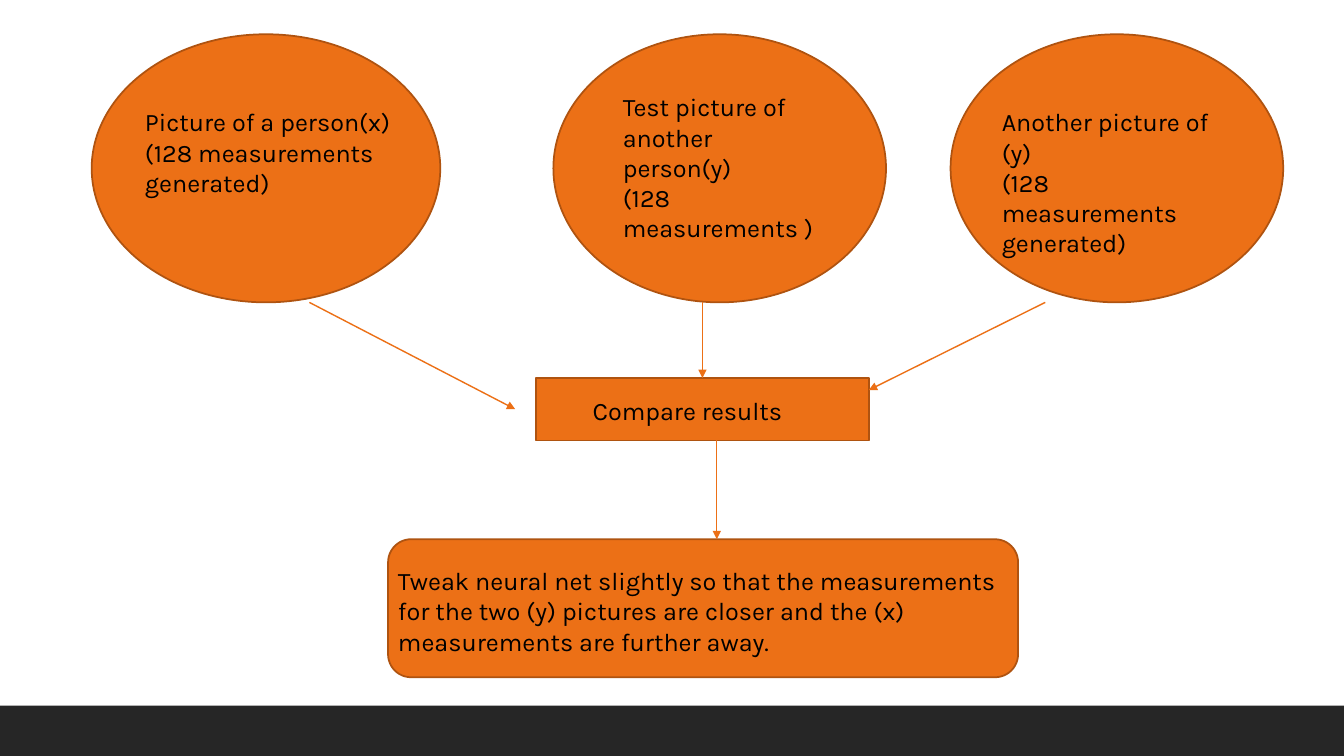
from lxml import etree
from pptx import Presentation
from pptx.dml.color import RGBColor
from pptx.enum import shapes, text
from pptx.oxml import ns
from pptx.util import Pt

WIDTH, HEIGHT = 960, 540
ORANGE, RUST, BLACK, CHARCOAL = "EC7016", "AF5310", "000000", "262626"
SHAPE = shapes.MSO_SHAPE


def color(hex_code):
    """Return the colour for a hex string."""
    return RGBColor.from_string(hex_code)


def add_panel(s, kind, box, fill, outline=None):
    """Draw a filled preset shape in the given box."""
    sp = s.shapes.add_shape(kind, *map(Pt, box))
    sp.shadow.inherit = False
    sp.fill.solid()
    sp.fill.fore_color.rgb = color(fill)
    if outline:
        sp.line.color.rgb = color(outline)
        sp.line.width = Pt(1.25)
    else:
        sp.line.fill.background()
    return sp


def add_label(s, box, lines):
    """Write one paragraph per line in a wrapped text box."""
    tf = s.shapes.add_textbox(*map(Pt, box)).text_frame
    tf.word_wrap = True
    tf.auto_size = text.MSO_AUTO_SIZE.SHAPE_TO_FIT_TEXT
    for i, line in enumerate(lines):
        p = tf.add_paragraph() if i else tf.paragraphs[0]
        r = p.add_run()
        r.text = line
        r.font.name = "Karla"
        r.font.size = Pt(18)
        r.font.color.rgb = color(BLACK)


def add_step(s, kind, box, inset, lines):
    """Draw a step; inset is the label's offset from the box and its size."""
    x, y, w, h = box
    dx, dy, label_w, label_h = inset
    sp = add_panel(s, kind, box, ORANGE, RUST)
    add_label(s, (x + dx, y + dy, label_w, label_h), lines)
    return sp


def add_arrow(s, start, end):
    """Draw an arrow between two points."""
    line = s.shapes.add_connector(shapes.MSO_CONNECTOR.STRAIGHT, *map(Pt, (*start, *end)))
    line.line.color.rgb = color(ORANGE)
    line.line.width = Pt(1)
    etree.SubElement(line.line._get_or_add_ln(), ns.qn("a:tailEnd"), type="triangle")
    etree.SubElement(line._element.spPr, ns.qn("a:effectLst"))
    return line


def add_pictures(s, top, height):
    """Place the row of three picture ellipses."""
    pictures = [
        (65.5, 249, (31, 48.2, 223.2, 72.7),
         ["Picture of a person(x)", "(128 measurements generated)"]),
        (395.3, 237.6, (42.5, 37.4, 152, 94.3),
         ["Test picture of another person(y)", "(128 measurements )"]),
        (679, 237.6, (29.5, 48.2, 168.5, 116.6),
         ["Another picture of (y)", "(128 measurements generated)"]),
    ]
    for left, width, inset, lines in pictures:
        add_step(s, SHAPE.OVAL, (left, top, width, height), inset, lines)


def add_flow(s, top):
    """Place the comparison and tweak steps with their arrows."""
    compare_y, compare_h, tweak_y = 270, 44.6, 385.2
    compare = add_step(s, SHAPE.RECTANGLE, (383, compare_y, 237.6, compare_h),
                       (33.2, 8.6, 216, 28.8), ["Compare results"])
    add_arrow(s, (221, top), (368, compare_y + compare_h / 2))
    add_arrow(s, (501.8, top), (501.8, compare_y)).end_connect(compare, 0)
    add_arrow(s, (746.6, top), (620.6, 278.6))
    add_step(s, SHAPE.ROUNDED_RECTANGLE, (277.2, tweak_y, 450, 98.6),
             (0, 15.1, 442.8, 72.7),
             ["Tweak neural net slightly so that the measurements for the two (y) "
              "pictures are closer and the (x) measurements are further away."])
    add_arrow(s, (512, compare_y + compare_h), (512, tweak_y))


def main():
    """Build and save the slide."""
    prs = Presentation()
    prs.slide_width, prs.slide_height = Pt(WIDTH), Pt(HEIGHT)
    s = prs.slides.add_slide(prs.slide_layouts[6])
    add_panel(s, SHAPE.RECTANGLE, (0, HEIGHT - 36, WIDTH, 36), CHARCOAL)
    top, height = 24.5, 191.5
    add_pictures(s, top, height)
    add_flow(s, top + height)
    prs.save("out.pptx")


if __name__ == "__main__":
    main()
